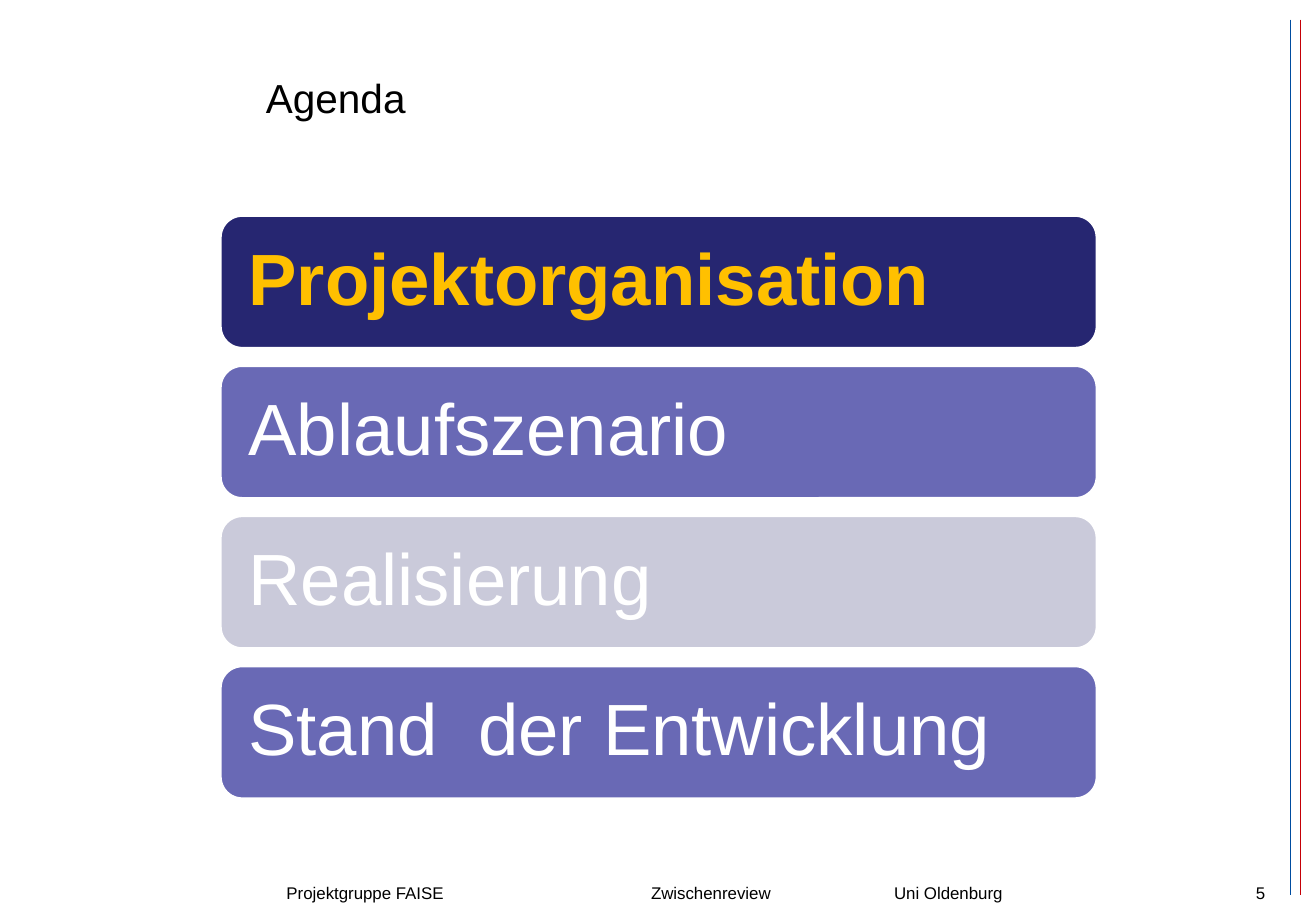
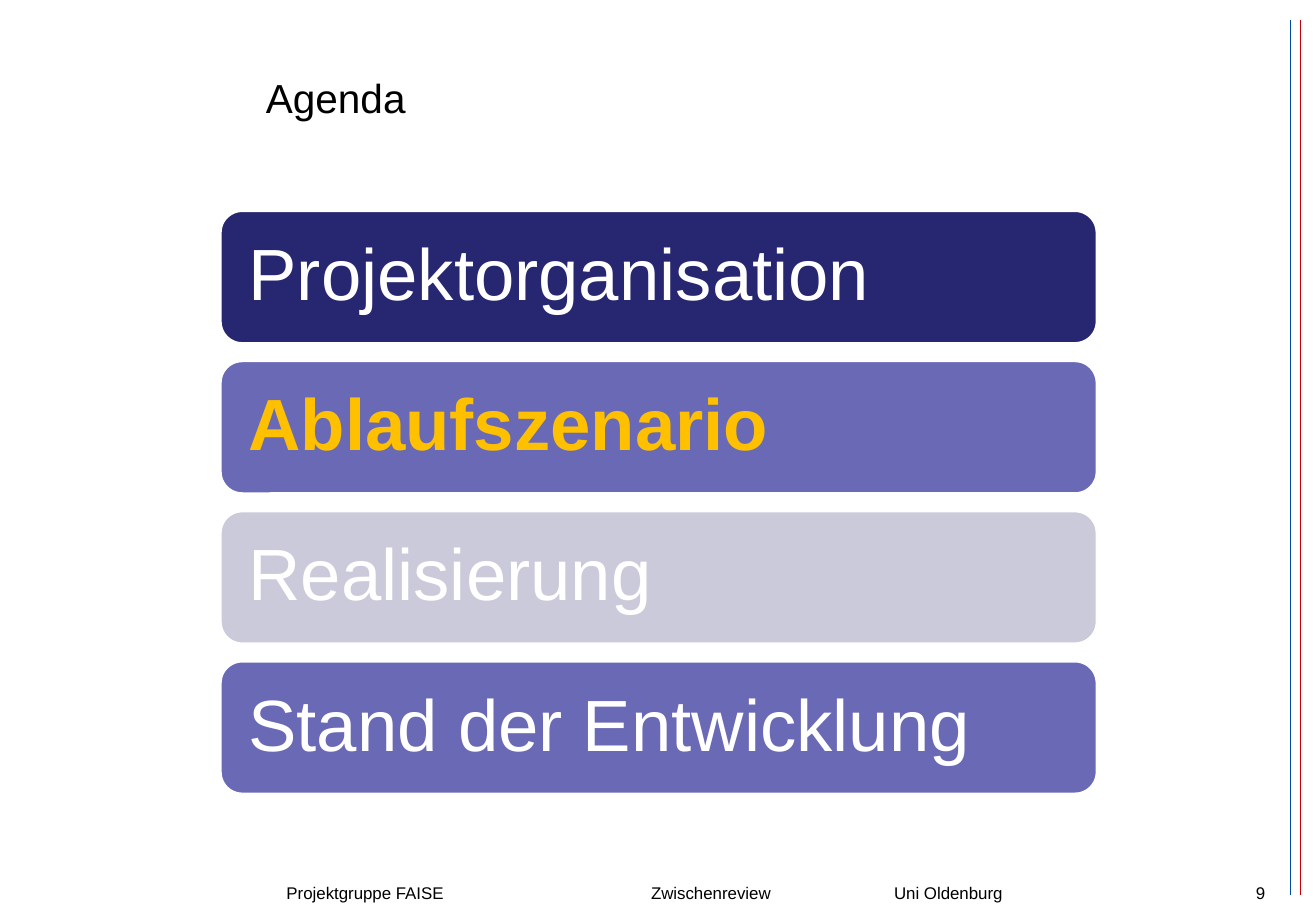
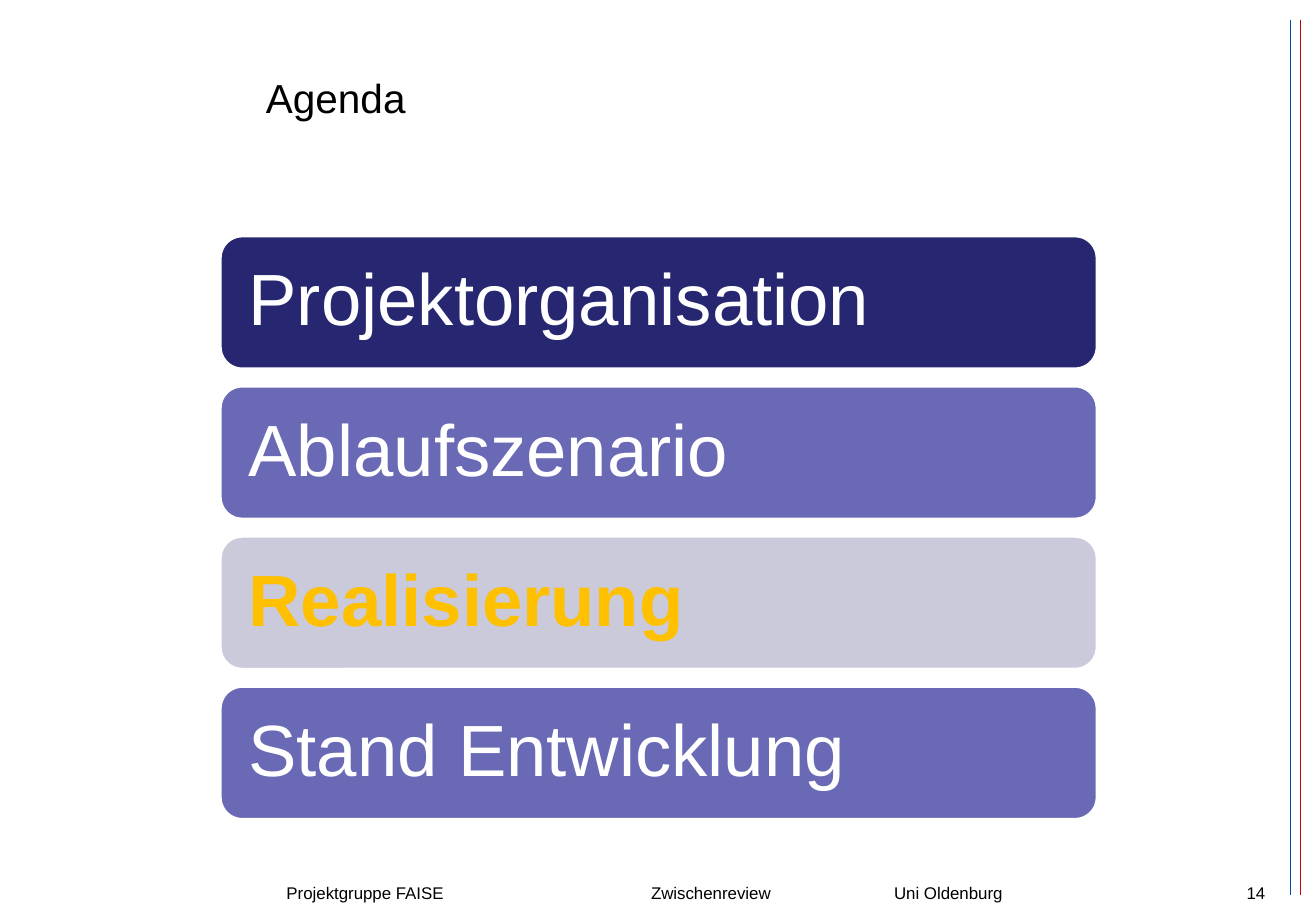
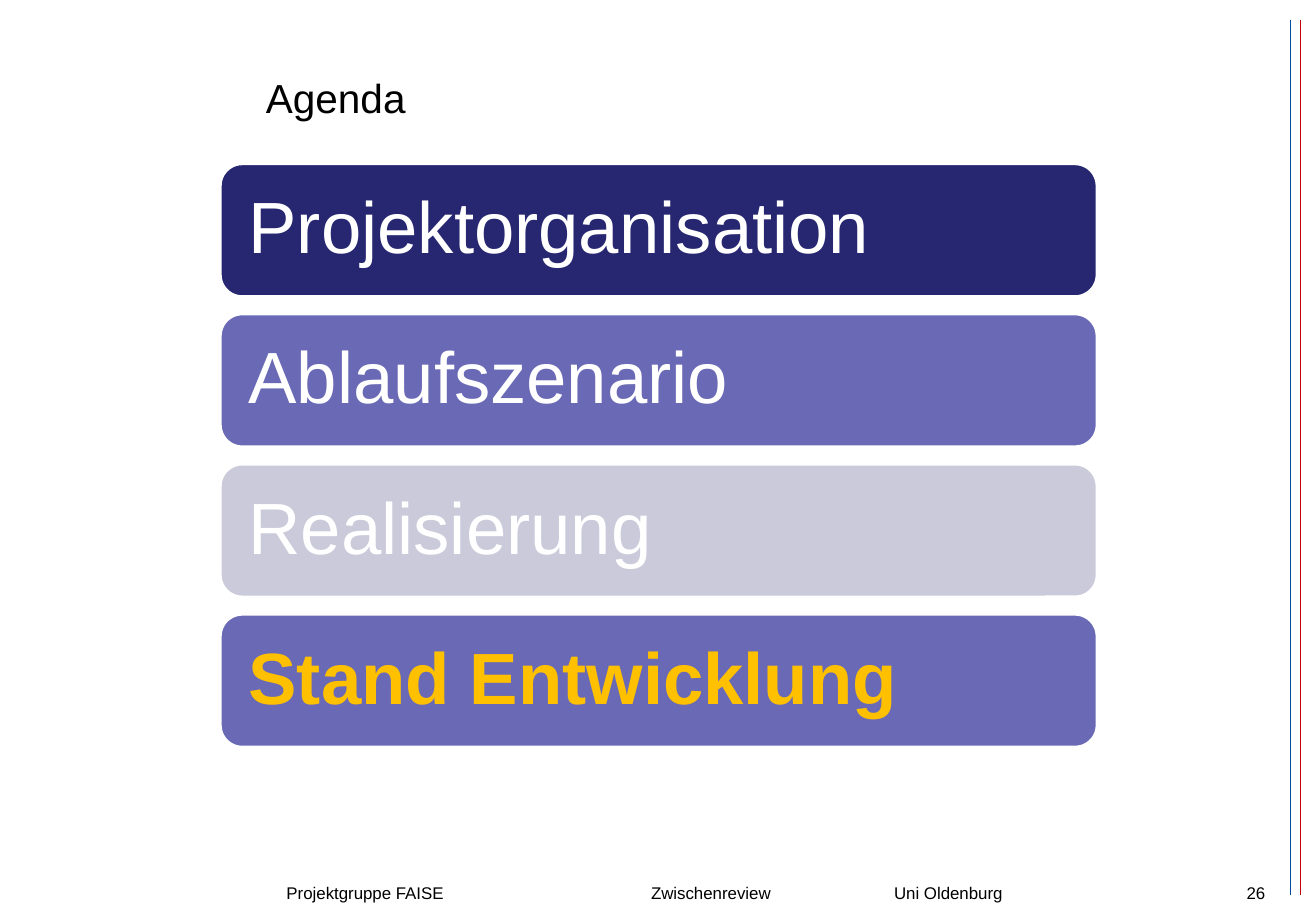
from lxml import etree
from pptx import Presentation
from pptx.dml.color import RGBColor
from pptx.enum.shapes import MSO_CONNECTOR, MSO_SHAPE
from pptx.enum.text import MSO_ANCHOR, PP_ALIGN
from pptx.oxml.ns import qn
from pptx.util import Cm, Pt

STRAIGHT = MSO_CONNECTOR.STRAIGHT
ROUNDED = MSO_SHAPE.ROUNDED_RECTANGLE
TOP, MIDDLE = MSO_ANCHOR.TOP, MSO_ANCHOR.MIDDLE
LEFT, RIGHT = PP_ALIGN.LEFT, PP_ALIGN.RIGHT

FONT = "Arial"
BLACK = RGBColor(0x00, 0x00, 0x00)
WHITE = RGBColor(0xFF, 0xFF, 0xFF)
GOLD = RGBColor(0xFF, 0xC0, 0x00)
NAVY = RGBColor(0x26, 0x26, 0x71)
VIOLET = RGBColor(0x69, 0x69, 0xB5)
GREY = RGBColor(0xCA, 0xCA, 0xDA)
RED = RGBColor(0xC5, 0x00, 0x07)
BLUE = RGBColor(0x00, 0x4C, 0xA0)

RULES = [(27.18, RED), (26.97, BLUE)]
BAR_FILLS = [NAVY, VIOLET, GREY, VIOLET]
BAR_LEFT, BAR_WIDTH, BAR_HEIGHT, BAR_PITCH = 4.6, 18.34, 2.79, 3.14
BAR_INSET = 0.46
TAB_STEP = 2.54
FOOTER = "Projektgruppe FAISE\t\tZwischenreview\t\tUni Oldenburg"

TOPICS = ["Projektorganisation", "Ablaufszenario", "Realisierung"]
AGENDAS = [
    ("5", 4.5, 0, "Stand  der Entwicklung"),
    ("9", 4.4, 1, "Stand der Entwicklung"),
    ("14", 4.93, 2, "Stand Entwicklung"),
    ("26", 3.42, 3, "Stand Entwicklung"),
]


def write(sp, text, size=10, color=BLACK, bold=False, align=LEFT,
          anchor=TOP, inset=None, spacing=None, tabs=()):
    tf = sp.text_frame
    tf.word_wrap = True
    tf.vertical_anchor = anchor
    if inset is not None:
        tf.margin_left = tf.margin_right = Cm(inset)
        tf.margin_top = tf.margin_bottom = Cm(inset)
    p = tf.paragraphs[0]
    p.alignment = align
    if spacing:
        p.line_spacing = spacing
    if tabs:
        tab_list = etree.SubElement(p._p.get_or_add_pPr(), qn("a:tabLst"))
        for pos in tabs:
            etree.SubElement(tab_list, qn("a:tab"), pos=str(Cm(pos)), algn="l")
    r = p.add_run()
    r.text = text
    r.font.name = FONT
    r.font.size = Pt(size)
    r.font.bold = bold
    r.font.color.rgb = color


prs = Presentation()
prs.slide_width = Cm(27.51)
prs.slide_height = Cm(19.05)

for number, top, current, last_topic in AGENDAS:
    s = prs.slides.add_slide(prs.slide_layouts[6])

    for x, color in RULES:
        rule = s.shapes.add_connector(STRAIGHT, Cm(x), Cm(0.41), Cm(x), Cm(18.72))
        rule.line.color.rgb = color
        rule.line.width = Pt(0.25)
        etree.SubElement(rule._element.spPr, qn("a:effectLst"))

    title = s.shapes.add_textbox(Cm(5.31), Cm(0.76), Cm(20.83), Cm(2.57))
    write(title, "Agenda", size=24, anchor=MIDDLE)

    for i, (topic, fill) in enumerate(zip(TOPICS + [last_topic], BAR_FILLS)):
        bar = s.shapes.add_shape(ROUNDED, Cm(BAR_LEFT), Cm(top + i * BAR_PITCH),
                                 Cm(BAR_WIDTH), Cm(BAR_HEIGHT))
        bar.shadow.inherit = False
        bar.fill.solid()
        bar.fill.fore_color.rgb = fill
        bar.line.color.rgb = WHITE
        bar.line.width = Pt(2)
        active = i == current
        write(bar, topic, size=43, color=GOLD if active else WHITE, bold=active,
              anchor=MIDDLE, inset=BAR_INSET, spacing=0.9)

    page_number = s.shapes.add_textbox(Cm(20.27), Cm(18.34), Cm(6.43), Cm(0.61))
    write(page_number, number, align=RIGHT)

    footer = s.shapes.add_textbox(Cm(5.74), Cm(18.34), Cm(16.05), Cm(0.71))
    write(footer, FOOTER, tabs=[TAB_STEP * n for n in range(1, 6)])

prs.save("out.pptx")
